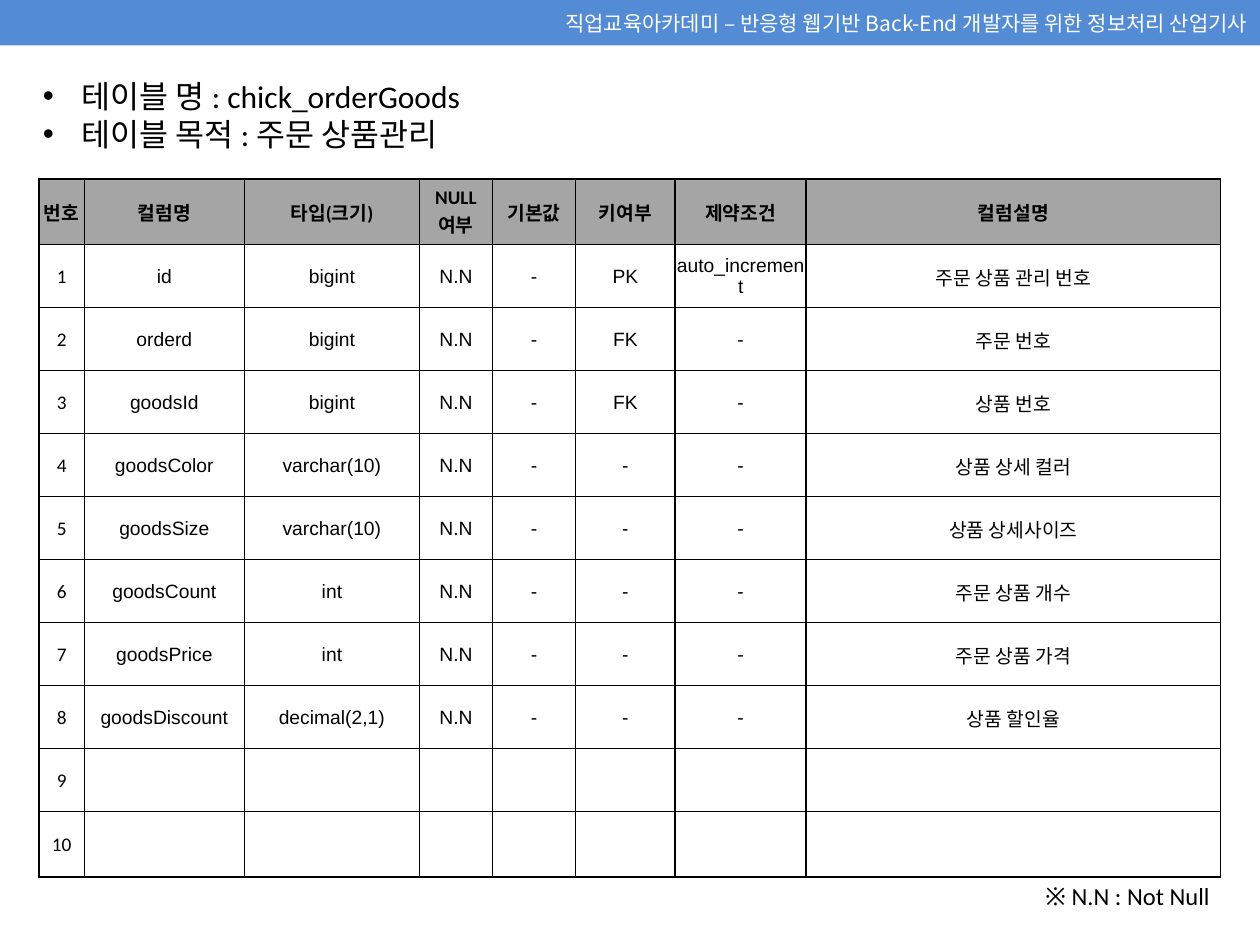
import pptx
import pptx.util
import pptx.dml.color
import pptx.enum.text
import pptx.oxml
import pptx.oxml.ns

Inches, Pt = pptx.util.Inches, pptx.util.Pt
RGBColor = pptx.dml.color.RGBColor
ALIGN = pptx.enum.text.PP_ALIGN
ANCHOR = pptx.enum.text.MSO_ANCHOR
FIT = pptx.enum.text.MSO_AUTO_SIZE

BLUE = RGBColor(0x53, 0x8C, 0xD5)
GRAY = RGBColor(0xA5, 0xA5, 0xA5)
WHITE = RGBColor(255, 255, 255)
BLACK = RGBColor(0, 0, 0)
KOREAN = "Noto Sans CJK KR"

BANNER = "직업교육아카데미 – 반응형 웹기반 Back-End 개발자를 위한 정보처리 산업기사"
FACTS = ["테이블 명 : chick_orderGoods", "테이블 목적 : 주문 상품관리"]
NOTE = "※ N.N : Not Null"
HEADS = ["번호", "컬럼명", "타입(크기)", "NULL 여부", "기본값", "키여부", "제약조건", "컬럼설명"]
FIELDS = [
    ("id", "bigint", "PK", "auto_increment", "주문 상품 관리 번호"),
    ("orderd", "bigint", "FK", "-", "주문 번호"),
    ("goodsId", "bigint", "FK", "-", "상품 번호"),
    ("goodsColor", "varchar(10)", "-", "-", "상품 상세 컬러"),
    ("goodsSize", "varchar(10)", "-", "-", "상품 상세사이즈"),
    ("goodsCount", "int", "-", "-", "주문 상품 개수"),
    ("goodsPrice", "int", "-", "-", "주문 상품 가격"),
    ("goodsDiscount", "decimal(2,1)", "-", "-", "상품 할인율"),
]
BLANKS = 2
WIDTHS = [0.36, 1.27, 1.39, 0.58, 0.66, 0.79, 1.04, 3.29]
TALL, ROW = 0.52, 0.5


def place(shape, left, top, width, height):
    shape.left, shape.top = Inches(left), Inches(top)
    shape.width, shape.height = Inches(width), Inches(height)


def style(para, size, face, color=BLACK, align=ALIGN.LEFT, bold=False):
    para.alignment = align
    para.space_before = Pt(0)
    for run in para.runs:
        font = run.font
        font.size, font.name, font.bold = Pt(size), face, bold
        font.color.rgb = color
        east = pptx.oxml.parse_xml(
            f'<a:ea {pptx.oxml.ns.nsdecls("a")} typeface="{KOREAN}"/>')
        font._element.find(pptx.oxml.ns.qn("a:latin")).addnext(east)


def border(cell):
    props = cell._tc.get_or_add_tcPr()
    for spot, side in enumerate(("lnL", "lnR", "lnT", "lnB")):
        props.insert(spot, pptx.oxml.parse_xml(
            f'<a:{side} {pptx.oxml.ns.nsdecls("a")} w="12700"><a:solidFill>'
            f'<a:srgbClr val="{BLACK}"/></a:solidFill></a:{side}>'))


def add_banner(slide):
    title = slide.shapes.title
    place(title, 0, 0, 10, 0.36)
    title.fill.solid()
    title.fill.fore_color.rgb = BLUE
    frame = title.text_frame
    frame.text = BANNER
    frame.auto_size = FIT.NONE
    frame.vertical_anchor = ANCHOR.MIDDLE
    style(frame.paragraphs[0], 12, KOREAN, WHITE, ALIGN.RIGHT)


def add_facts(slide):
    body = slide.placeholders[1]
    place(body, 0.24, 0.56, 9.49, 0.71)
    frame = body.text_frame
    frame.text = "\n".join(FACTS)
    frame.auto_size = FIT.NONE
    for para in frame.paragraphs:
        style(para, 18, "Calibri")
        props = para._p.get_or_add_pPr()
        props.set("marL", str(Inches(0.31)))
        props.set("indent", str(-Inches(0.31)))


def add_grid(slide):
    rows = [HEADS]
    for num, (name, kind, key, rule, about) in enumerate(FIELDS, 1):
        rows.append([str(num), name, kind, "N.N", "-", key, rule, about])
    for num in range(len(rows), len(rows) + BLANKS):
        rows.append([str(num)] + [""] * (len(HEADS) - 1))
    highs = [TALL] + [ROW] * (len(rows) - 2) + [TALL]
    grid = slide.shapes.add_table(
        len(rows), len(HEADS), Inches(0.31), Inches(1.42),
        Inches(sum(WIDTHS)), Inches(sum(highs))).table
    for col, width in zip(grid.columns, WIDTHS):
        col.width = Inches(width)
    for r, (words, high) in enumerate(zip(rows, highs)):
        grid.rows[r].height = Inches(high)
        for c, word in enumerate(words):
            cell = grid.cell(r, c)
            cell.text = word
            cell.vertical_anchor = ANCHOR.MIDDLE
            cell.margin_left = cell.margin_right = cell.margin_top = Inches(0.01)
            cell.margin_bottom = 0
            if r == 0:
                cell.fill.solid()
                cell.fill.fore_color.rgb = GRAY
            else:
                cell.fill.background()
            border(cell)
            face = "Calibri" if r == 0 or c == 0 else "Arial"
            style(cell.text_frame.paragraphs[0], 11, face,
                  align=ALIGN.CENTER, bold=r == 0)


def add_note(slide):
    box = slide.shapes.add_textbox(
        Inches(8.15), Inches(6.94), Inches(1.55), Inches(0.34))
    frame = box.text_frame
    frame.word_wrap = True
    frame.text = NOTE
    style(frame.paragraphs[0], 14, "Calibri", align=ALIGN.RIGHT)


def main():
    deck = pptx.Presentation()
    deck.slide_width, deck.slide_height = Inches(10), Inches(7.5)
    slide = deck.slides.add_slide(deck.slide_layouts[1])
    add_banner(slide)
    add_facts(slide)
    add_grid(slide)
    add_note(slide)
    deck.save("out.pptx")


if __name__ == "__main__":
    main()
